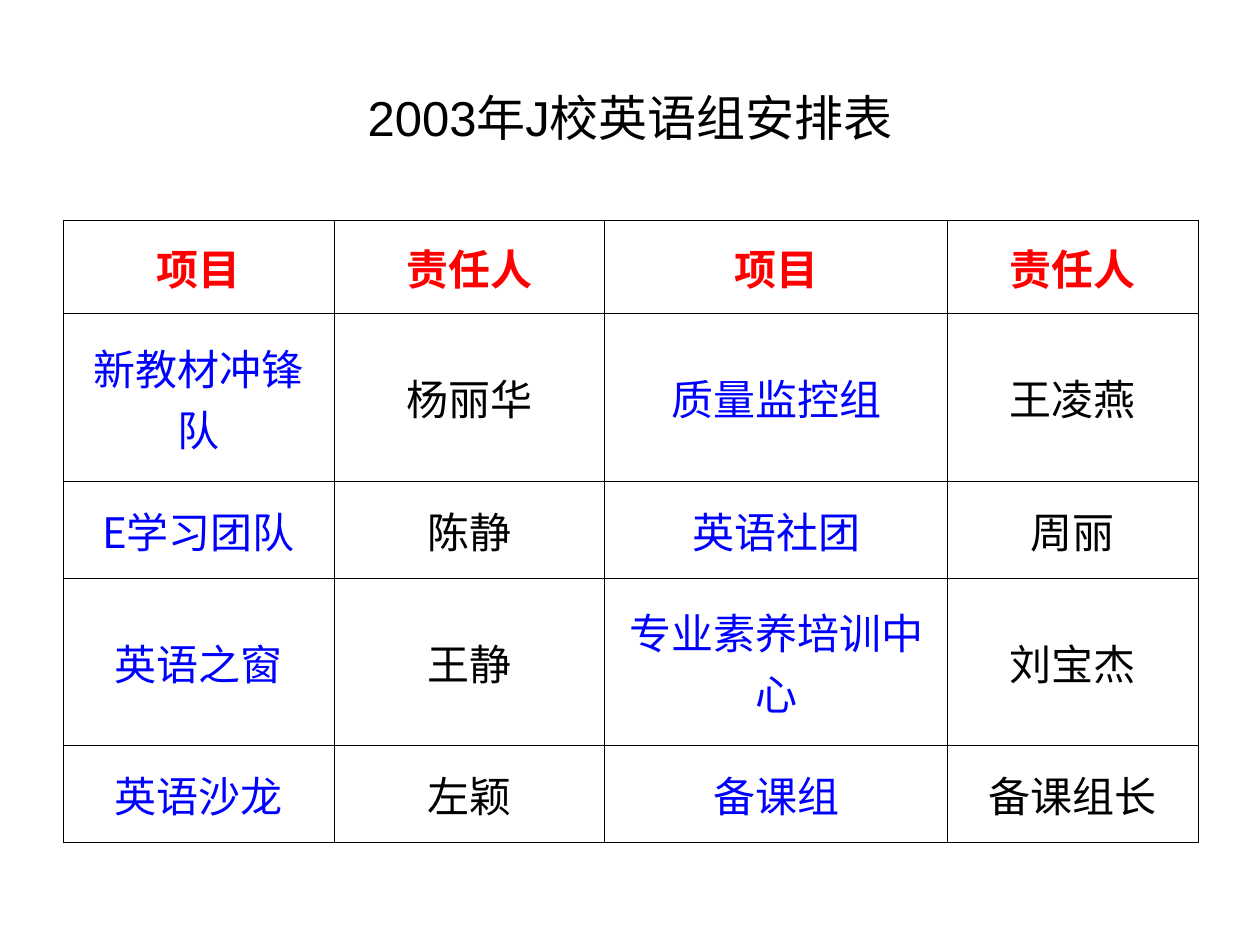
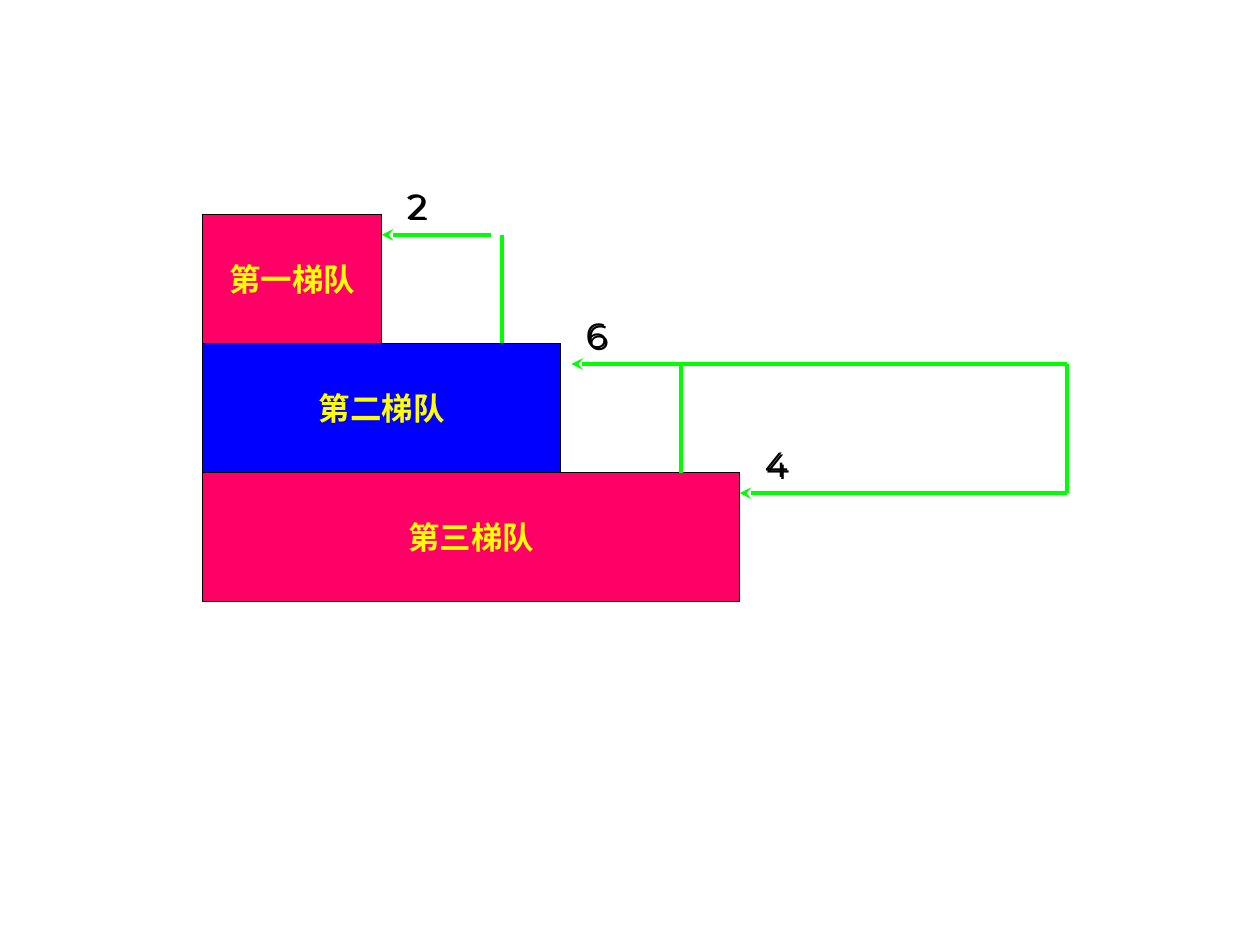
from dataclasses import dataclass
from typing import NamedTuple

from lxml import etree
from pptx import Presentation
from pptx import util as u
from pptx.dml.color import RGBColor
from pptx.enum import shapes, text
from pptx.oxml import ns


@dataclass(frozen=True)
class Theme:
    black: str = "000000"
    red: str = "FF0000"
    blue: str = "0000FF"
    pink: str = "FF0066"
    yellow: str = "FFFF00"
    green: str = "00FF00"
    latin: str = "Arial"
    header: str = "Times New Roman"
    chinese: str = "Noto Sans CJK SC"
    digit: str = "Montserrat"
    title_size: float = 28
    table_size: float = 24
    tier_size: float = 18
    digit_size: float = 20
    border: float = 0.45
    outline: float = 0.75
    link: float = 2.25


class Link(NamedTuple):
    start: tuple[float, float]
    end: tuple[float, float]
    arrow: bool = False


@dataclass(frozen=True)
class Tier:
    name: str
    count: str
    level: int
    fill: str
    links: tuple[Link, ...]


THEME = Theme()
WIDTH, HEIGHT = u.Inches(10), u.Inches(7.5)
GRID_LEFT, GRID_TOP = 1.61, 1.7
COLUMN, ROW = 1.42, 1.025
ENTRY = 0.16
OUTER = 4.83

TABLE_COLUMNS = (0.215, 0.215, 0.272, 0.199)
TABLE_ROWS = (0.74, 1.33, 0.77, 1.33, 0.77)
ASSIGNMENTS = (
    ("项目", "责任人", "项目", "责任人"),
    ("新教材冲锋队", "杨丽华", "质量监控组", "王凌燕"),
    ("E学习团队", "陈静", "英语社团", "周丽"),
    ("英语之窗", "王静", "专业素养培训中心", "刘宝杰"),
    ("英语沙龙", "左颖", "备课组", "备课组长"),
)

TIERS = (
    Tier("第三梯队", "4", 3, THEME.pink, (
        Link((OUTER, 2 + ENTRY), (OUTER, 1 + ENTRY)),
        Link((OUTER, 2 + ENTRY), (3.56, 2 + ENTRY)),
        Link((3.66, 2 + ENTRY), (3, 2 + ENTRY), True),
    )),
    Tier("第二梯队", "6", 2, THEME.blue, (
        Link((OUTER, 1 + ENTRY), (2.61, 1 + ENTRY)),
        Link((2.67, 2), (2.67, 1 + ENTRY)),
        Link((2.67, 1 + ENTRY), (2.06, 1 + ENTRY), True),
    )),
    Tier("第一梯队", "2", 1, THEME.pink, (
        Link((1.67, 1), (1.67, ENTRY)),
        Link((1.61, ENTRY), (1, ENTRY), True),
    )),
)


def rgb(color: str) -> RGBColor:
    return RGBColor.from_string(color)


def add_node(parent, tag: str, **attributes: str):
    return etree.SubElement(parent, ns.qn(tag), attributes)


def column_x(column: float) -> int:
    return u.Inches(GRID_LEFT + column * COLUMN)


def row_y(row: float) -> int:
    return u.Inches(GRID_TOP + row * ROW)


def write(frame, words: str, size: float, font: str, color: str,
          bold: bool = False, align=text.PP_ALIGN.CENTER) -> None:
    para = frame.paragraphs[0]
    para.text = words
    para.alignment = align
    para.font.size = u.Pt(size)
    para.font.bold = bold
    para.font.color.rgb = rgb(color)
    para.font.name = font
    add_node(para._p.pPr.find(ns.qn("a:defRPr")), "a:ea", typeface=THEME.chinese)


def add_borders(cell) -> None:
    properties = cell._tc.get_or_add_tcPr()
    for side in ("a:lnL", "a:lnR", "a:lnT", "a:lnB"):
        line = add_node(properties, side, w=str(u.Pt(THEME.border)))
        fill = add_node(line, "a:solidFill")
        add_node(fill, "a:srgbClr", val=THEME.black)


def draw_assignments(page) -> None:
    table = page.shapes.add_table(
        len(TABLE_ROWS), len(TABLE_COLUMNS), int(WIDTH * 0.05), u.Inches(1.75),
        int(WIDTH * sum(TABLE_COLUMNS)), u.Inches(sum(TABLE_ROWS))).table
    table.first_row = table.horz_banding = False
    for column, share in zip(table.columns, TABLE_COLUMNS):
        column.width = int(WIDTH * share)
    for row, height in zip(table.rows, TABLE_ROWS):
        row.height = u.Inches(height)
    for r, entries in enumerate(ASSIGNMENTS):
        for c, words in enumerate(entries):
            cell = table.cell(r, c)
            cell.vertical_anchor = text.MSO_ANCHOR.MIDDLE
            add_borders(cell)
            cell.fill.background()
            if r == 0:
                write(cell.text_frame, words, THEME.table_size, THEME.header,
                      THEME.red, bold=True)
            else:
                color = THEME.black if c % 2 else THEME.blue
                write(cell.text_frame, words, THEME.table_size, THEME.chinese, color)


def draw_link(page, link: Link) -> None:
    (x1, y1), (x2, y2) = link.start, link.end
    connector = page.shapes.add_connector(
        shapes.MSO_CONNECTOR.STRAIGHT,
        column_x(x1), row_y(y1), column_x(x2), row_y(y2))
    connector.line.color.rgb = rgb(THEME.green)
    connector.line.width = u.Pt(THEME.link)
    if link.arrow:
        add_node(connector.line._get_or_add_ln(), "a:tailEnd", type="stealth")
    add_node(connector._element.spPr, "a:effectLst")


def draw_tier(page, tier: Tier) -> None:
    for link in tier.links:
        draw_link(page, link)
    box = page.shapes.add_shape(
        shapes.MSO_SHAPE.RECTANGLE, column_x(0), row_y(tier.level - 1),
        u.Inches(COLUMN * tier.level), u.Inches(ROW))
    box.shadow.inherit = False
    box.fill.solid()
    box.fill.fore_color.rgb = rgb(tier.fill)
    box.line.color.rgb = rgb(THEME.black)
    box.line.width = u.Pt(THEME.outline)
    box.text_frame.word_wrap = False
    box.text_frame.vertical_anchor = text.MSO_ANCHOR.MIDDLE
    write(box.text_frame, tier.name, THEME.tier_size, THEME.latin,
          THEME.yellow, bold=True)


def draw_count(page, tier: Tier) -> None:
    box = page.shapes.add_textbox(
        column_x(tier.level + 0.07), row_y(tier.level - 1.28),
        u.Inches(0.35), u.Inches(0.44))
    box.text_frame.word_wrap = False
    box.text_frame.auto_size = text.MSO_AUTO_SIZE.SHAPE_TO_FIT_TEXT
    write(box.text_frame, tier.count, THEME.digit_size, THEME.digit,
          THEME.black, align=text.PP_ALIGN.LEFT)
    effects = add_node(box._element.spPr, "a:effectLst")
    shadow = add_node(effects, "a:outerShdw", dist=str(u.Pt(1.4)), dir="2700000")
    add_node(shadow, "a:srgbClr", val=THEME.black)


def build_assignment_page(deck) -> None:
    page = deck.slides.add_slide(deck.slide_layouts[5])
    title = page.shapes.title
    title.left, title.top = int(WIDTH * 0.05), int(HEIGHT * 0.04)
    title.width, title.height = int(WIDTH * 0.9), u.Inches(1.25)
    title.text_frame.vertical_anchor = text.MSO_ANCHOR.MIDDLE
    write(title.text_frame, "2003年J校英语组安排表", THEME.title_size,
          THEME.latin, THEME.black)
    draw_assignments(page)


def build_tier_page(deck) -> None:
    page = deck.slides.add_slide(deck.slide_layouts[6])
    for tier in TIERS:
        draw_tier(page, tier)
    for tier in reversed(TIERS):
        draw_count(page, tier)


def main() -> None:
    deck = Presentation()
    deck.slide_width, deck.slide_height = WIDTH, HEIGHT
    build_assignment_page(deck)
    build_tier_page(deck)
    deck.save("out.pptx")


if __name__ == "__main__":
    main()
